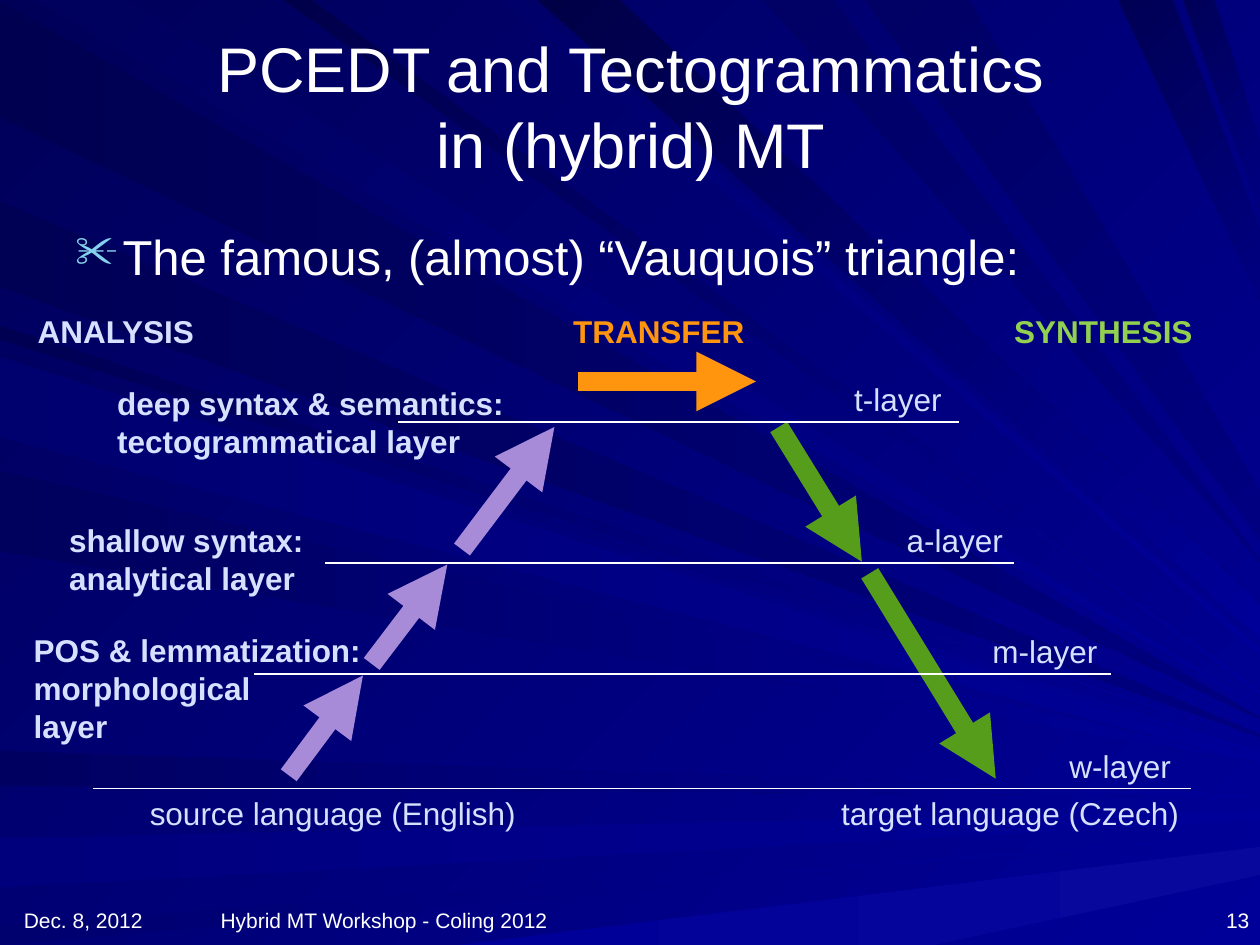
import pptx
import pptx.util
import pptx.dml.color
import pptx.enum.shapes
import pptx.enum.text
import pptx.oxml.ns
from lxml import etree

Pt = pptx.util.Pt
rgb = pptx.dml.color.RGBColor.from_string
qn = pptx.oxml.ns.qn
ANCHOR = pptx.enum.text.MSO_ANCHOR
ALIGN = pptx.enum.text.PP_ALIGN
WHITE, PALE, ORANGE, GREEN, PURPLE = "FFFFFF", "D6E0FF", "FF950E", "579D1C", "A88BD8"
W, H = 720, 540


def paint(fill, first, last, angle):
    fill.gradient()
    fill.gradient_angle = (360 - angle) % 360
    for stop, color in zip(fill.gradient_stops, (first, last)):
        stop.color.rgb = rgb(color)


def text(box, paragraphs, size, color=WHITE, bold=False, align=ALIGN.LEFT,
         anchor=ANCHOR.TOP, top=5, tabs=()):
    tf = s.shapes.add_textbox(*map(Pt, box)).text_frame
    tf.word_wrap = True
    tf.vertical_anchor = anchor
    tf.margin_top = Pt(top)
    for i, lines in enumerate(paragraphs):
        p = tf.paragraphs[0] if i == 0 else tf.add_paragraph()
        p.alignment = align
        if tabs:
            tab_list = etree.SubElement(p._p.get_or_add_pPr(), qn("a:tabLst"))
            for pos in tabs:
                etree.SubElement(tab_list, qn("a:tab"), pos=str(Pt(pos)), algn="l")
        for j, line in enumerate(lines):
            if j:
                p.add_line_break()
            for words, tint in [(line, color)] if isinstance(line, str) else line:
                r = p.add_run()
                r.text = words
                r.font.name = "Arial"
                r.font.size = Pt(size)
                r.font.bold = bold
                r.font.color.rgb = rgb(tint)
    return tf


prs = pptx.Presentation()
prs.slide_width, prs.slide_height = Pt(W), Pt(H)
s = prs.slides.add_slide(prs.slide_layouts[6])
paint(s.background.fill, "000058", "000099", 45)

rays = [
    ("left", 1, 67, 410, 411, "000051", "000080"),
    ("top", 73, 19, 404, 405, "00005D", "000099"),
    ("left", 429, 449, 454, 455, "000061", "000099"),
    ("left", 479, 507, 463, 469, "00007D", "000099"),
    ("left", 529, 540, 476, 477, "00006F", "000099"),
    ("bottom", 262, 534, 484, 500, "000099", "08089C"),
    ("left", 186, 194, 423, 424, "000053", "000099"),
    ("left", 115, 164, 420, 421, "000055", "000080"),
    ("top", 300, 287, 371, 375, "00006B", "000099"),
    ("top", 354, 307, 345, 365, "000047", "000099"),
    ("top", 476, 436, 320, 321, "000065", "000080"),
    ("top", 670, 639, 132, 171, "000055", "000080"),
    ("top", 694, 676, 82, 120, "000059", "000080"),
    ("left", 200, 246, 429, 433, "000061", "000099"),
    ("left", 269, 315, 435, 436, "00005D", "000099"),
    ("top", 178, 162, 394, 397, "00004A", "000099"),
    ("top", 554, 494, 281, 308, "000065", "000080"),
    ("left", 204, 250, 433, 436, "00006F", "000099"),
]
for edge, a, b, upper, lower, first, last in rays:
    if edge == "left":
        start = [(0, a), (0, b)]
    else:
        y = 0 if edge == "top" else H
        start = [(a, y), (b, y)]
    points = [(Pt(x), Pt(y)) for x, y in start + [(W, lower), (W, upper)]]
    builder = s.shapes.build_freeform(*points[0])
    builder.add_line_segments(points[1:])
    sp = builder.convert_to_shape()
    sp.shadow.inherit = False
    sp.line.fill.background()
    paint(sp.fill, first, last, 45 if edge == "top" else 0)

text((94, 15, 533, 90), [["PCEDT and Tectogrammatics", "in (hybrid) MT"]], 36,
     align=ALIGN.CENTER, anchor=ANCHOR.MIDDLE, top=3.6)

tf = text((36, 126, 648, 356), [["The famous, (almost) “Vauquois” triangle:"]], 28, top=3.6)
pPr = tf.paragraphs[0]._p.get_or_add_pPr()
pPr.set("marL", str(Pt(27)))
pPr.set("indent", str(-Pt(27)))
color = etree.SubElement(pPr, qn("a:buClr"))
etree.SubElement(color, qn("a:srgbClr"), val="86D1EC")
etree.SubElement(pPr, qn("a:buSzPct"), val="90000")
etree.SubElement(pPr, qn("a:buChar"), char="✂")

text((14.4, 173.5, 683, 28),
     [[[("ANALYSIS\t", PALE), ("TRANSFER\t", ORANGE), ("SYNTHESIS", "92D050")]]],
     18, bold=True, tabs=(306, 558))
text((78.5, 448.6, 610, 27), [["source language (English)\ttarget language (Czech)"]],
     18, PALE, tabs=(395,))

stages = [
    (59.8, 214.6, [["deep syntax & semantics:", "tectogrammatical layer"]]),
    (32.4, 293, [["shallow syntax:", "analytical layer"]]),
    (12.2, 355.7, [["POS & lemmatization:"], ["morphological"], ["layer"]]),
]
for x, y, paragraphs in stages:
    text((x, y, 240, 49), paragraphs, 18, PALE, bold=True)

arrows = [
    (ORANGE, 330.5, 218, 432, 218),
    (GREEN, 445, 244, 492.5, 321),
    (GREEN, 497, 327.6, 569, 445),
    (PURPLE, 264, 314, 316.8, 244),
    (PURPLE, 212.4, 379.4, 255.6, 322.6),
    (PURPLE, 165, 443, 207.4, 386),
]
layers = [("t-layer", 481, 227.5, 548, 241.2), ("a-layer", 511, 185.8, 579.6, 321.8),
          ("m-layer", 560, 145.4, 635, 385.2), ("w-layer", 604, 53.3, 680.4, 450.7)]
levels = []
for name, label_x, x1, x2, y in layers:
    text((label_x, y - 29, 80, 27), [[name]], 18, PALE)
    levels.append((WHITE, x1, y, x2, y))

for color, *ends in arrows + levels:
    line = s.shapes.add_connector(pptx.enum.shapes.MSO_CONNECTOR.STRAIGHT, *map(Pt, ends))
    line.line.color.rgb = rgb(color)
    line.line.width = Pt(0.75 if color == WHITE else 11.34)
    spPr = line._element.spPr
    if color != WHITE:
        etree.SubElement(spPr.find(qn("a:ln")), qn("a:tailEnd"), type="triangle")
    etree.SubElement(spPr, qn("a:effectLst"))

footers = [("Dec. 8, 2012", 6.5, 168, ALIGN.LEFT),
           ("Hybrid MT Workshop - Coling 2012", 105.5, 228, ALIGN.CENTER),
           ("13", 553, 168, ALIGN.RIGHT)]
for words, x, width, align in footers:
    text((x, 500.4, width, 36), [[words]], 12, align=align, anchor=ANCHOR.BOTTOM)

prs.save("out.pptx")
